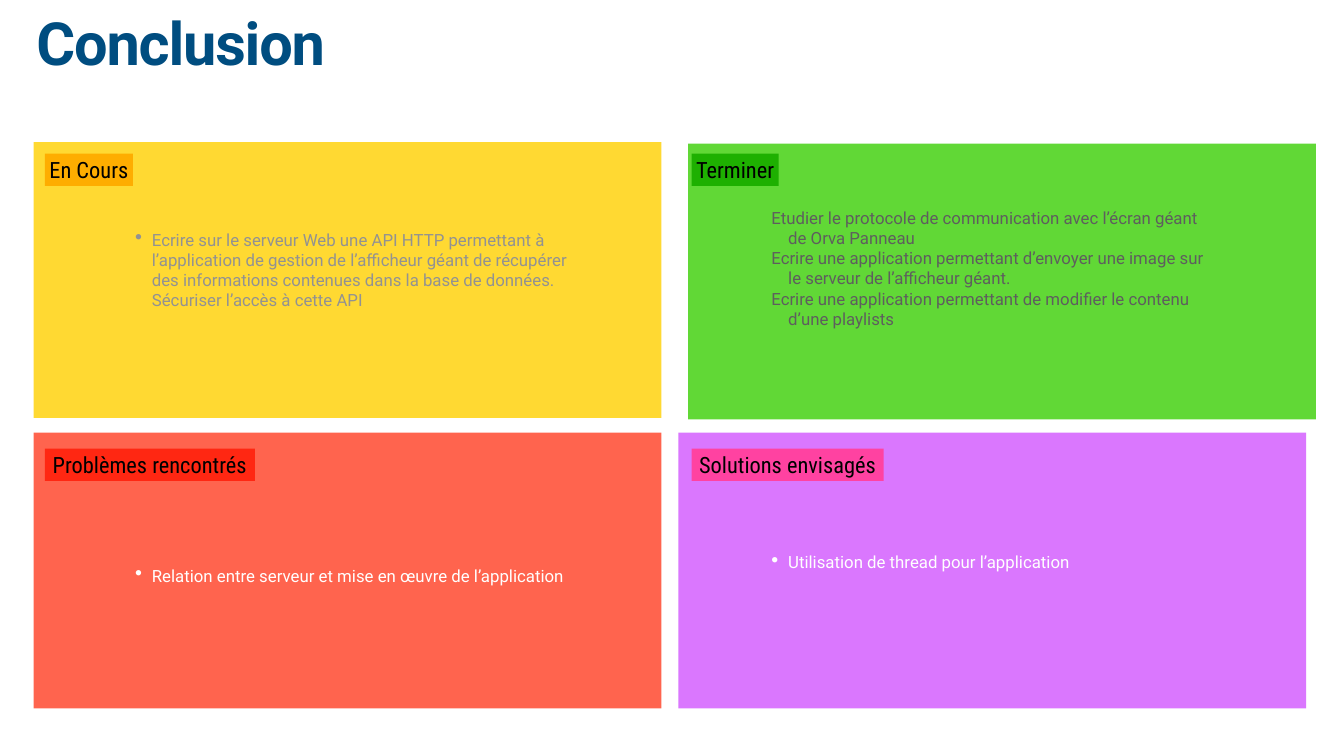
from lxml import etree
from pptx import Presentation
from pptx.dml.color import RGBColor
from pptx.enum.shapes import MSO_SHAPE
from pptx.enum.text import MSO_ANCHOR, MSO_AUTO_SIZE, PP_ALIGN
from pptx.oxml.ns import qn
from pptx.util import Pt

RECTANGLE = MSO_SHAPE.RECTANGLE
TOP, MIDDLE = MSO_ANCHOR.TOP, MSO_ANCHOR.MIDDLE
LEFT, CENTER = PP_ALIGN.LEFT, PP_ALIGN.CENTER
NO_FIT, FIT_SHAPE = MSO_AUTO_SIZE.NONE, MSO_AUTO_SIZE.SHAPE_TO_FIT_TEXT

THEME = {
    "body_font": "Roboto", "label_font": "Roboto Condensed",
    "title_size": 85, "label_size": 32, "body_size": 24,
    "title": "004D80", "label": "000000",
}
INSET = 4
PANEL_WIDTH, PANEL_HEIGHT = 897, 394
LABEL_HEIGHT = 46
NOTE_WIDTH = 679

PANELS = [
    {"label": "En Cours", "panel_at": (48, 203), "panel_fill": "FFD932",
     "label_at": (64, 219.6), "label_width": 126, "label_fill": "FEAD00",
     "note_at": (141, 323.3), "note_height": 124.5, "note_color": "929292",
     "bullet": "•", "anchor": MIDDLE,
     "notes": ["Ecrire sur le serveur Web une API HTTP permettant à l’application de gestion "
               "de l’afficheur géant de récupérer des informations contenues dans la base de "
               "données. Sécuriser l’accès à cette API"]},
    {"label": "Terminer", "panel_at": (983, 205), "panel_fill": "61D836",
     "label_at": (988, 219.6), "label_width": 124.5, "label_fill": "1EB001",
     "note_at": (1050, 291.6), "note_height": 183, "note_color": "5E5E5E",
     "bullet": None, "anchor": MIDDLE,
     "notes": ["Etudier le protocole de communication avec l’écran géant de Orva Panneau",
               "Ecrire une application permettant d’envoyer une image sur le serveur de "
               "l’afficheur géant.",
               "Ecrire une application permettant de modifier le contenu d’une playlists"]},
    {"label": "Problèmes rencontrés", "panel_at": (48, 618), "panel_fill": "FF644E",
     "label_at": (64, 641), "label_width": 300, "label_fill": "FF2712",
     "note_at": (141, 803.5), "note_height": 37.5, "note_color": "FFFFFF",
     "bullet": "•", "anchor": MIDDLE,
     "notes": ["Relation entre serveur et mise en œuvre de l’application"]},
    {"label": "Solutions envisagés", "panel_at": (969, 618), "panel_fill": "DA77FE",
     "label_at": (988, 641), "label_width": 274.5, "label_fill": "FF42A1",
     "note_at": (1050, 784.8), "note_height": 66, "note_color": "FFFFFF",
     "bullet": "•", "anchor": TOP,
     "notes": ["Utilisation de thread pour l’application"]},
]


def add_rectangle(left, top, width, height, fill):
    shape = slide.shapes.add_shape(RECTANGLE, Pt(left), Pt(top), Pt(width), Pt(height))
    shape.shadow.inherit = False
    shape.fill.solid()
    shape.fill.fore_color.rgb = RGBColor.from_string(fill)
    shape.line.fill.background()
    return shape


def write_text(shape, lines, *, size, color, font=THEME["body_font"], bold=False,
               align=LEFT, anchor=TOP, wrap=True, fit=NO_FIT, line_spacing=None,
               tracking=None, margin=0, indent=0, level=0, bullet=None):
    """Write one paragraph per line; margin, indent and tracking are in points."""
    frame = shape.text_frame
    frame.margin_left = frame.margin_right = Pt(INSET)
    frame.margin_top = frame.margin_bottom = Pt(INSET)
    frame.word_wrap, frame.auto_size, frame.vertical_anchor = wrap, fit, anchor
    for index, line in enumerate(lines):
        paragraph = frame.paragraphs[0] if index == 0 else frame.add_paragraph()
        paragraph.alignment, paragraph.level = align, level
        paragraph.line_spacing = line_spacing
        run = paragraph.add_run()
        run.text = line
        run.font.name, run.font.size, run.font.bold = font, Pt(size), bold
        run.font.color.rgb = RGBColor.from_string(color)
        if tracking:
            run.font._element.set("spc", str(round(tracking * 100)))
        properties = paragraph._p.get_or_add_pPr()
        properties.set("marL", str(Pt(margin)))
        properties.set("indent", str(Pt(indent)))
        if bullet:
            etree.SubElement(properties, qn("a:buSzPct"), val="123000")
            etree.SubElement(properties, qn("a:buChar"), char=bullet)
        else:
            etree.SubElement(properties, qn("a:buNone"))


presentation = Presentation()
presentation.slide_width, presentation.slide_height = Pt(1920), Pt(1080)
slide = presentation.slides.add_slide(presentation.slide_layouts[6])

title = slide.shapes.add_textbox(Pt(48), Pt(25), Pt(825), Pt(113))
write_text(title, ["Conclusion"], size=THEME["title_size"], color=THEME["title"],
           bold=True, line_spacing=0.8, tracking=-1.7)

for panel in PANELS:
    add_rectangle(*panel["panel_at"], PANEL_WIDTH, PANEL_HEIGHT, panel["panel_fill"])

for panel in PANELS:
    label = add_rectangle(*panel["label_at"], panel["label_width"], LABEL_HEIGHT,
                          panel["label_fill"])
    write_text(label, [panel["label"]], size=THEME["label_size"], color=THEME["label"],
               font=THEME["label_font"], align=CENTER, anchor=MIDDLE, wrap=False,
               fit=FIT_SHAPE)

for panel in PANELS:
    left, top = panel["note_at"]
    note = slide.shapes.add_textbox(Pt(left), Pt(top), Pt(NOTE_WIDTH),
                                    Pt(panel["note_height"]))
    write_text(note, panel["notes"], size=THEME["body_size"], color=panel["note_color"],
               anchor=panel["anchor"], margin=72, indent=-24, level=1,
               bullet=panel["bullet"])

presentation.save("out.pptx")
